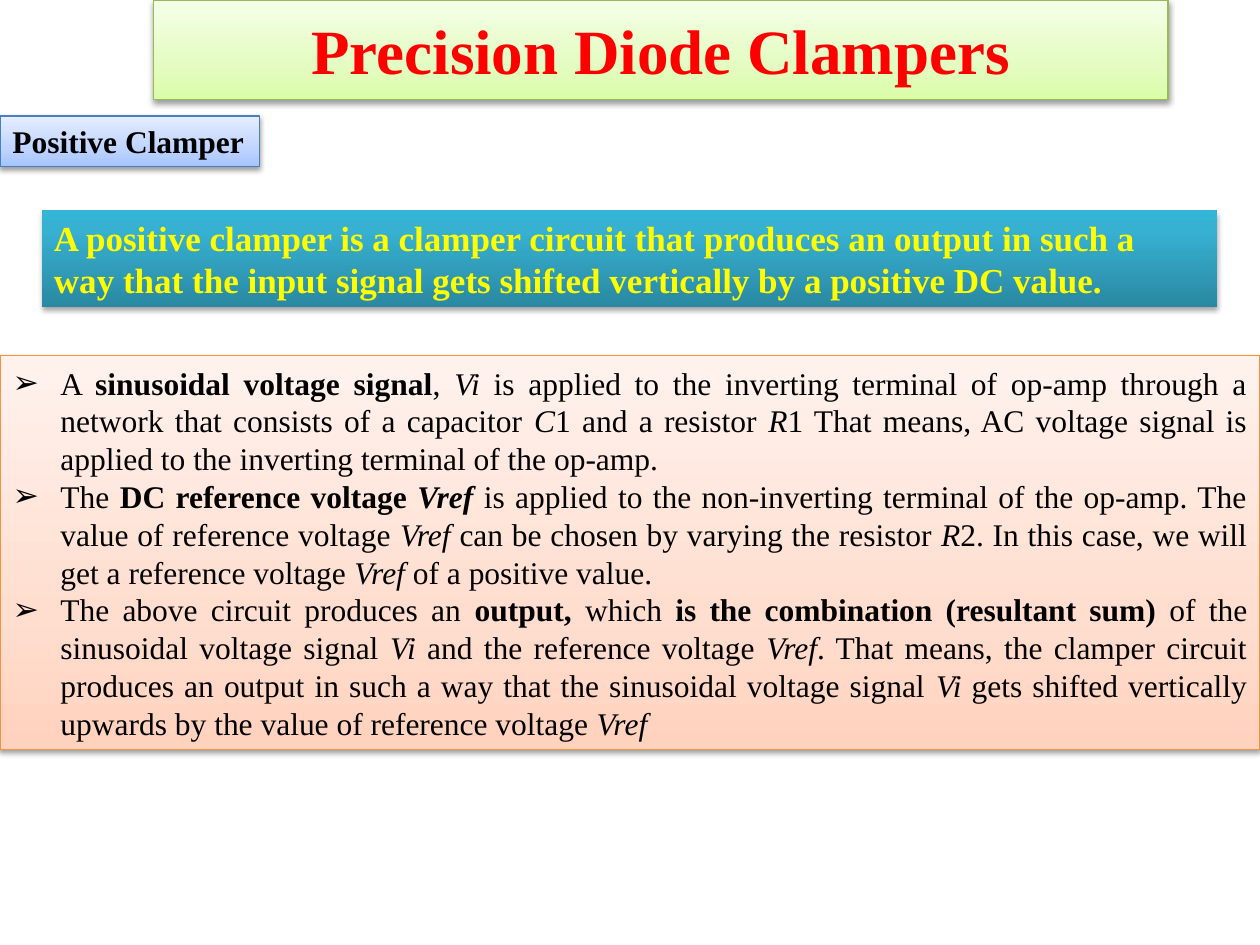
from lxml import etree
from pptx import Presentation
from pptx.dml.color import RGBColor
from pptx.enum.shapes import MSO_SHAPE
from pptx.enum.text import MSO_ANCHOR, MSO_AUTO_SIZE, PP_ALIGN
from pptx.oxml.ns import qn
from pptx.util import Inches, Pt

FONT = "Times New Roman"
HEADING = "Precision Diode Clampers"
TOPIC = "Positive Clamper"
DEFINITION = ("A positive clamper is a clamper circuit that produces an output in such a way "
              "that the input signal gets shifted vertically by a positive DC value.")
# Each run is (text, style): b for bold, i for italic.
EXPLANATION = [
    [("A ", ""), ("sinusoidal voltage signal", "b"), (", ", ""), ("Vi", "i"),
     (" is applied to the inverting terminal of op-amp through a network that consists "
      "of a capacitor ", ""), ("C", "i"), ("1 and a resistor ", ""), ("R", "i"),
     ("1 That means, AC voltage signal is applied to the inverting terminal of the op-amp.", "")],
    [("The ", ""), ("DC reference voltage ", "b"), ("Vref ", "bi"),
     ("is applied to the non-inverting terminal of the op-amp. The value of reference "
      "voltage ", ""), ("Vref", "i"), (" can be chosen by varying the resistor ", ""),
     ("R", "i"), ("2. In this case, we will get a reference voltage ", ""),
     ("Vref ", "i"), ("of a positive value.", "")],
    [("The above circuit produces an ", ""), ("output,", "b"), (" which ", ""),
     ("is the combination (resultant sum)", "b"), (" of the sinusoidal voltage signal ", ""),
     ("Vi ", "i"), ("and the reference voltage ", ""), ("Vref", "i"),
     (". That means, the clamper circuit produces an output in such a way that the "
      "sinusoidal voltage signal ", ""), ("Vi", "i"),
     (" gets shifted vertically upwards by the value of reference voltage ", ""),
     ("Vref", "i")],
]

# Gradient stops run from the bottom edge to the top edge.
GREEN = {"stops": [(0, "DAFDA7"), (35, "E4FCC2"), (100, "F5FFE7")], "line": "98B955"}
BLUE = {"stops": [(0, "A4C4FF"), (35, "BFD4FF"), (100, "E6EEFF")], "line": "4B7EBC"}
ORANGE = {"stops": [(0, "FFD2BD"), (35, "FFDED0"), (100, "FFF2ED")], "line": "F69240"}
TEAL = {"stops": [(0, "2A88A2"), (80, "37B1D2"), (100, "34B4D6")], "line": None,
        "shadow": (35, 1.8)}


def rgb(color):
    return RGBColor.from_string(color)


def add_color(parent, color):
    return etree.SubElement(parent, qn("a:srgbClr"), val=color)


def paint(shape, stops, line, shadow=(38, 1.6)):
    """Apply a vertical gradient, an outline and a shadow (opacity %, distance pt)."""
    shape.fill.gradient()
    shape.fill.gradient_angle = 90
    stop_list = next(shape.element.iter(qn("a:gsLst")))
    for old_stop in list(stop_list):
        stop_list.remove(old_stop)
    for position, color in stops:
        add_color(etree.SubElement(stop_list, qn("a:gs"), pos=str(position * 1000)), color)
    if line:
        shape.line.color.rgb = rgb(line)
        shape.line.width = Pt(0.75)
    else:
        shape.line.fill.background()
    shape.shadow.inherit = False
    opacity, distance = shadow
    outer = etree.SubElement(
        next(shape.element.iter(qn("a:effectLst"))), qn("a:outerShdw"),
        blurRad=str(Pt(3.1)), dist=str(Pt(distance)), dir="5400000", rotWithShape="0")
    etree.SubElement(add_color(outer, "000000"), qn("a:alpha"), val=str(opacity * 1000))


def place(shape, left, top, width, height):
    box = {"left": left, "top": top, "width": width, "height": height}
    for side, inches in box.items():
        setattr(shape, side, Inches(inches))


def set_frame(shape, anchor, wrap=True):
    settings = {"word_wrap": wrap, "auto_size": MSO_AUTO_SIZE.NONE, "vertical_anchor": anchor}
    for name, value in settings.items():
        setattr(shape.text_frame, name, value)


def write(paragraph, runs, size, color, align):
    paragraph.alignment = align
    paragraph.space_before = Pt(0)
    for text, style in runs:
        run = paragraph.add_run()
        run.text = text
        settings = {"name": FONT, "size": Pt(size), "bold": "b" in style, "italic": "i" in style}
        for name, value in settings.items():
            setattr(run.font, name, value)
        run.font.color.rgb = rgb(color)


def add_bullet(paragraph, indent=0.38):
    properties = paragraph._p.get_or_add_pPr()
    properties.set("marL", str(Inches(indent)))
    properties.set("indent", str(Inches(-indent)))
    etree.SubElement(properties, qn("a:buChar"), char="➢")


def main():
    deck = Presentation()
    deck.slide_width, deck.slide_height = Inches(10), Inches(7.5)
    slide = deck.slides.add_slide(deck.slide_layouts[1])
    heading, explanation = slide.placeholders
    definition, topic = (slide.shapes.add_shape(MSO_SHAPE.RECTANGLE, 0, 0, 0, 0)
                         for _ in range(2))

    panels = [
        (heading, (1.22, 0, 8.05, 0.79), GREEN, MSO_ANCHOR.MIDDLE, True),
        (topic, (0, 0.92, 2.06, 0.4), BLUE, MSO_ANCHOR.TOP, False),
        (definition, (0.33, 1.67, 9.33, 0.77), TEAL, MSO_ANCHOR.TOP, True),
        (explanation, (0, 2.82, 10, 3.13), ORANGE, MSO_ANCHOR.MIDDLE, True),
    ]
    for shape, box, look, anchor, wrap in panels:
        place(shape, *box)
        paint(shape, **look)
        set_frame(shape, anchor, wrap)

    labels = [
        (heading, HEADING, 36, "FF0000", PP_ALIGN.CENTER),
        (topic, TOPIC, 18, "000000", PP_ALIGN.LEFT),
        (definition, DEFINITION, 20, "FFFF00", PP_ALIGN.LEFT),
    ]
    for shape, text, size, color, align in labels:
        write(shape.text_frame.paragraphs[0], [(text, "b")], size, color, align)

    frame = explanation.text_frame
    for index, runs in enumerate(EXPLANATION):
        paragraph = frame.add_paragraph() if index else frame.paragraphs[0]
        write(paragraph, runs, 18, "000000", PP_ALIGN.JUSTIFY)
        add_bullet(paragraph)

    deck.save("out.pptx")


if __name__ == "__main__":
    main()
